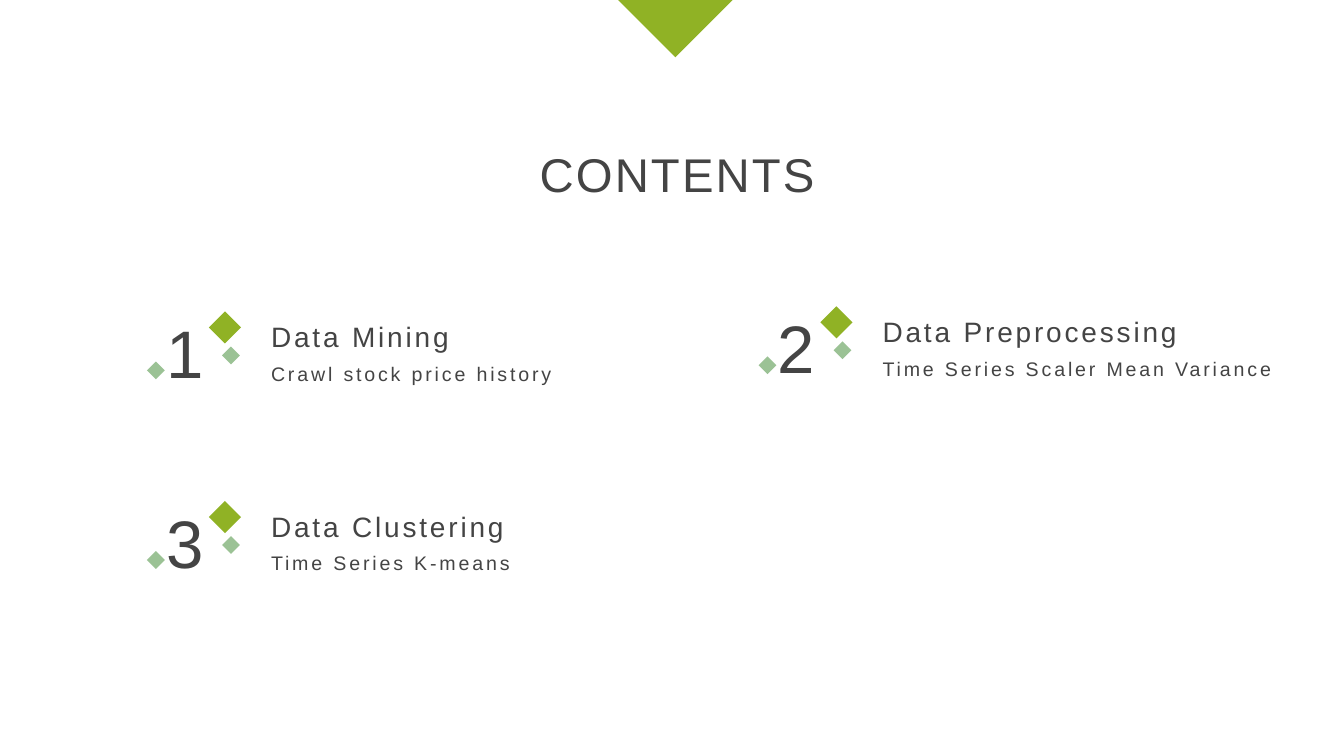
from dataclasses import dataclass

from lxml import etree
from pptx import Presentation
from pptx.dml.color import RGBColor
from pptx.enum.shapes import MSO_SHAPE
from pptx.enum.text import MSO_ANCHOR, MSO_AUTO_SIZE, PP_ALIGN
from pptx.oxml.ns import qn
from pptx.shapes.autoshape import Shape
from pptx.slide import Slide
from pptx.text.text import TextFrame
from pptx.util import Pt

RECTANGLE = MSO_SHAPE.RECTANGLE
CENTER = PP_ALIGN.CENTER
LEFT = PP_ALIGN.LEFT
TOP = MSO_ANCHOR.TOP
BOTTOM = MSO_ANCHOR.BOTTOM
NO_AUTO_SIZE = MSO_AUTO_SIZE.NONE

LIME = RGBColor(0x90, 0xB2, 0x25)
LEAF = RGBColor(0x6C, 0xA6, 0x63)
CHARCOAL = RGBColor(0x44, 0x44, 0x44)


@dataclass(frozen=True)
class Topic:
    number: str
    heading: str
    detail: str
    left: float
    top: float


@dataclass(frozen=True)
class Diamond:
    """A square on its corner, placed relative to its topic."""
    left: float
    top: float
    side: float
    color: RGBColor
    opacity: int = 100


@dataclass(frozen=True)
class Label:
    """A text box for one field of a topic, placed relative to it."""
    field: str
    left: float
    top: float
    width: float
    height: float
    size: float


TOPICS = (
    Topic("1", "Data Mining", "Crawl stock price history", 111.6, 218.9),
    Topic("2", "Data Preprocessing", "Time Series Scaler Mean Variance", 548.4, 215.2),
    Topic("3", "Data Clustering", "Time Series K-means", 111.6, 354.3),
)
DIAMONDS = (
    Diamond(41, 6.9, 16.2, LIME),
    Diamond(48.9, 30.5, 9, LEAF, 68),
    Diamond(-4.7, 41.2, 9, LEAF, 68),
)
LABELS = (
    Label("number", 0, 0, 41, 65.5, 48),
    Label("heading", 74.9, 5.8, 296.6, 31.7, 20),
    Label("detail", 74.9, 36, 296.6, 24.5, 14),
)


def write_text(frame: TextFrame, text: str, size: float, spacing: float,
               alignment: PP_ALIGN = LEFT, anchor: MSO_ANCHOR = TOP) -> None:
    """Fill the frame with one run; spacing is the letter spacing in points."""
    frame_format = {"word_wrap": True, "auto_size": NO_AUTO_SIZE, "vertical_anchor": anchor}
    for name, value in frame_format.items():
        setattr(frame, name, value)
    paragraph = frame.paragraphs[0]
    paragraph.alignment = alignment
    run = paragraph.add_run()
    run.text = text
    font_format = {"name": "Arial", "size": Pt(size), "bold": False}
    for name, value in font_format.items():
        setattr(run.font, name, value)
    run.font.color.rgb = CHARCOAL
    run._r.get_or_add_rPr().set("spc", str(round(spacing * 100)))


def paint(shape: Shape, color: RGBColor, opacity: int = 100) -> None:
    shape.shadow.inherit = False
    shape.fill.solid()
    shape.fill.fore_color.rgb = color
    shape.line.fill.background()
    if opacity < 100:
        color_element = shape.element.spPr.find(f"{qn('a:solidFill')}/{qn('a:srgbClr')}")
        etree.SubElement(color_element, qn("a:alpha")).set("val", str(opacity * 1000))


def add_top_marker(slide: Slide) -> None:
    builder = slide.shapes.build_freeform(Pt(441.4), Pt(0))
    builder.add_line_segments([(Pt(523.4), Pt(0)), (Pt(482.4), Pt(41))], close=True)
    paint(builder.convert_to_shape(), LIME)


def add_title(slide: Slide) -> None:
    title = slide.shapes.title
    bounds = {"left": 372.2, "top": 71.3, "width": 223.2, "height": 72.7}
    for name, value in bounds.items():
        setattr(title, name, Pt(value))
    title.text_frame.margin_bottom = Pt(0)
    write_text(title.text_frame, "CONTENTS", 33.8, 1.5, CENTER, BOTTOM)


def add_topic(slide: Slide, topic: Topic) -> None:
    for diamond in DIAMONDS:
        shape = slide.shapes.add_shape(
            RECTANGLE, Pt(topic.left + diamond.left), Pt(topic.top + diamond.top),
            Pt(diamond.side), Pt(diamond.side))
        shape.rotation = 315
        paint(shape, diamond.color, diamond.opacity)
    for label in LABELS:
        box = slide.shapes.add_textbox(
            Pt(topic.left + label.left), Pt(topic.top + label.top),
            Pt(label.width), Pt(label.height))
        write_text(box.text_frame, getattr(topic, label.field), label.size, 2)


def main() -> None:
    presentation = Presentation()
    presentation.slide_width = Pt(960)
    presentation.slide_height = Pt(540)
    title_only = presentation.slide_layouts.get_by_name("Title Only")
    slide = presentation.slides.add_slide(title_only)
    add_top_marker(slide)
    add_title(slide)
    for topic in TOPICS:
        add_topic(slide, topic)
    presentation.save("out.pptx")


if __name__ == "__main__":
    main()
